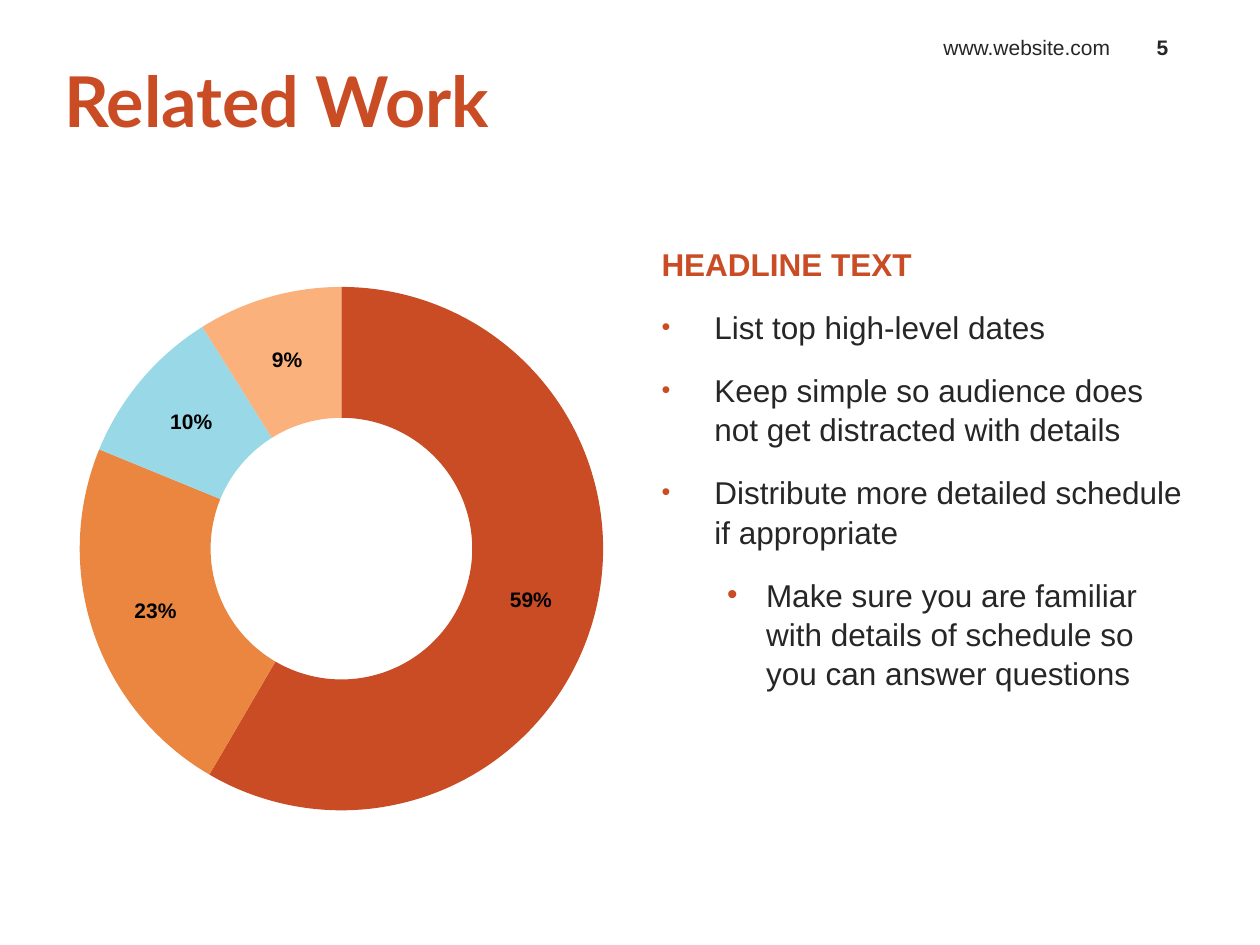
from dataclasses import dataclass

from lxml import etree
from pptx import Presentation
from pptx.chart.data import CategoryChartData
from pptx.dml.color import RGBColor
from pptx.enum.chart import XL_CHART_TYPE
from pptx.enum.text import MSO_ANCHOR, MSO_AUTO_SIZE, PP_ALIGN
from pptx.oxml import parse_xml
from pptx.oxml.ns import nsdecls, qn
from pptx.util import Inches, Pt

DOUGHNUT = XL_CHART_TYPE.DOUGHNUT
MIDDLE, BOTTOM = MSO_ANCHOR.MIDDLE, MSO_ANCHOR.BOTTOM
LEFT, CENTER, RIGHT = PP_ALIGN.LEFT, PP_ALIGN.CENTER, PP_ALIGN.RIGHT
NO_AUTOFIT = MSO_AUTO_SIZE.NONE

RUST = RGBColor(0xC9, 0x4C, 0x25)
ORANGE = RGBColor(0xEA, 0x86, 0x40)
SKY = RGBColor(0x99, 0xD9, 0xE7)
PEACH = RGBColor(0xFA, 0xB1, 0x7B)
INK = RGBColor(0x26, 0x26, 0x26)
BLACK = RGBColor(0, 0, 0)

# Two equal columns between the side margins
PAGE_WIDTH, PAGE_HEIGHT = 10, 7.5
MARGIN, GUTTER = 0.5, 0.16
COLUMN_WIDTH = (PAGE_WIDTH - 2 * MARGIN - GUTTER) / 2
COLUMN_TOP, COLUMN_HEIGHT = 1.88, 4.95
HEADER_TOP, HEADER_HEIGHT = 0.19, 0.33


@dataclass
class Item:
    text: str
    indent: float
    hanging: float = 0
    level: int = 0
    bullet_percent: int = 0  # zero means a headline without a bullet


@dataclass
class HeaderLabel:
    text: str
    left: float
    width: float
    align: PP_ALIGN
    bold: bool


@dataclass
class Slice:
    value: int
    color: RGBColor


ITEMS = [
    Item("HEADLINE TEXT", 0.07),
    Item("List top high-level dates", 0.49, 0.42, 0, 80),
    Item("Keep simple so audience does not get distracted with details", 0.49, 0.42, 0, 80),
    Item("Distribute more detailed schedule if appropriate", 0.49, 0.42, 0, 80),
    Item("Make sure you are familiar with details of schedule so you can answer questions",
         0.9, 0.31, 1, 95),
]
HEADER_LABELS = [
    HeaderLabel("www.website.com", 6.33, 2.58, RIGHT, False),
    HeaderLabel("5", 8.95, 0.55, CENTER, True),
]
SLICES = [Slice(59, RUST), Slice(23, ORANGE), Slice(10, SKY), Slice(9, PEACH)]


def place(shape, left: float, top: float, width: float, height: float) -> None:
    shape.left, shape.top = Inches(left), Inches(top)
    shape.width, shape.height = Inches(width), Inches(height)


def style_font(font, size: float, color: RGBColor, bold: bool = False, name: str = "Arial") -> None:
    font.size, font.bold, font.name = Pt(size), bold, name
    font.color.rgb = color


def set_bullet(para, item: Item) -> None:
    properties = para._p.get_or_add_pPr()
    properties.set("marL", str(Inches(item.indent)))
    properties.set("indent", str(-Inches(item.hanging)))
    if not item.bullet_percent:
        etree.SubElement(properties, qn("a:buNone"))
        return
    color = etree.SubElement(properties, qn("a:buClr"))
    etree.SubElement(color, qn("a:srgbClr"), val=str(RUST))
    etree.SubElement(properties, qn("a:buSzPct"), val=str(item.bullet_percent * 1000))
    etree.SubElement(properties, qn("a:buFont"), typeface="Arial")
    etree.SubElement(properties, qn("a:buChar"), char="•")


def add_title(page) -> None:
    title = page.shapes.title
    place(title, 0.51, 0.42, 5.07, 0.74)
    frame = title.text_frame
    frame.text = "Related Work"
    frame.auto_size, frame.vertical_anchor = NO_AUTOFIT, MIDDLE
    frame.margin_left = frame.margin_right = 0
    para = frame.paragraphs[0]
    para.alignment = LEFT
    style_font(para.runs[0].font, 40, RUST, True, "Lato")


def add_list(page, items: list[Item]) -> None:
    body = page.placeholders[1]
    place(body, MARGIN + COLUMN_WIDTH + GUTTER, COLUMN_TOP, COLUMN_WIDTH, COLUMN_HEIGHT)
    frame = body.text_frame
    frame.text = "\n".join(item.text for item in items)
    frame.auto_size = NO_AUTOFIT
    for para, item in zip(frame.paragraphs, items):
        headline = not item.bullet_percent
        para.level = item.level
        para.line_spacing, para.space_after = 1.04, Pt(10)
        if headline:
            para.space_before = Pt(0)
        set_bullet(para, item)
        style_font(para.runs[0].font, 18, RUST if headline else INK, headline)


def add_header_label(page, label: HeaderLabel) -> None:
    box = page.shapes.add_textbox(Inches(label.left), Inches(HEADER_TOP),
                                  Inches(label.width), Inches(HEADER_HEIGHT))
    frame = box.text_frame
    frame.text = label.text
    frame.word_wrap, frame.vertical_anchor = True, BOTTOM
    para = frame.paragraphs[0]
    para.alignment = label.align
    style_font(para.runs[0].font, 12, INK, label.bold)


def add_doughnut(page, slices: list[Slice]) -> None:
    data = CategoryChartData()
    data.categories = [str(number) for number in range(1, len(slices) + 1)]
    data.add_series("Series 1", [part.value for part in slices])
    chart = page.shapes.add_chart(DOUGHNUT, Inches(MARGIN), Inches(COLUMN_TOP),
                                  Inches(COLUMN_WIDTH), Inches(COLUMN_HEIGHT), data).chart
    chart.has_legend = chart.has_title = False
    style_font(chart.font, 10, BLACK)

    plot = chart.plots[0]
    for index, part in enumerate(slices):
        point = plot.series[0].points[index].format
        point.fill.solid()
        point.fill.fore_color.rgb = part.color
        point.line.fill.background()
    plot.has_data_labels = True
    labels = plot.data_labels
    labels.show_value, labels.show_percentage = True, False
    labels.number_format, labels.number_format_is_linked = '0"%"', False
    style_font(labels.font, 12, BLACK, True)

    # Centre the ring in its frame
    area = chart._chartSpace.chart.plotArea
    for old_layout in area.findall(qn("c:layout")):
        area.remove(old_layout)
    area.insert(0, parse_xml(
        f'<c:layout {nsdecls("c")}><c:manualLayout><c:layoutTarget val="inner"/>'
        '<c:xMode val="edge"/><c:yMode val="edge"/><c:x val="0.03"/><c:y val="0.08"/>'
        '<c:w val="0.94"/><c:h val="0.84"/></c:manualLayout></c:layout>'))


def main() -> None:
    deck = Presentation()
    deck.slide_width, deck.slide_height = Inches(PAGE_WIDTH), Inches(PAGE_HEIGHT)
    page = deck.slides.add_slide(deck.slide_layouts[1])
    add_title(page)
    add_list(page, ITEMS)
    for label in HEADER_LABELS:
        add_header_label(page, label)
    add_doughnut(page, SLICES)
    deck.save("out.pptx")


if __name__ == "__main__":
    main()
